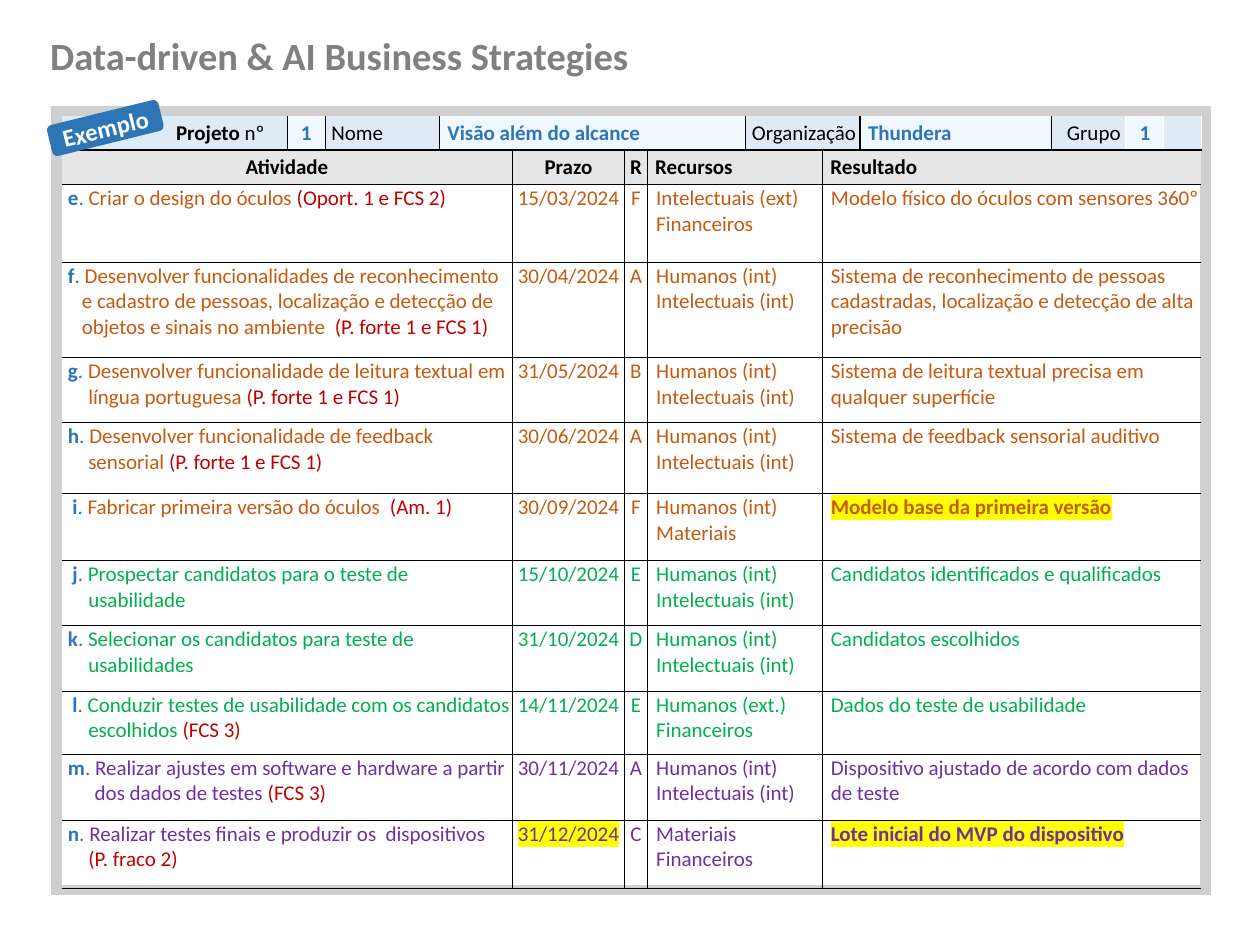
from lxml import etree
from pptx import Presentation
from pptx import util as u
from pptx.dml.color import RGBColor
from pptx.enum import shapes, text
from pptx.oxml import ns

COLORS = {
    "black": "000000", "white": "FFFFFF", "gray": "808080", "frame": "D0CECE",
    "label": "DEEBF7", "value": "EFF7FF", "heading": "E7E6E6", "blue": "2E75B6",
    "orange": "C55A11", "green": "00B050", "purple": "7030A0", "red": "C00000",
    "yellow": "FFFF00",
}
FONT = "Calibri"
TITLE = "Data-driven & AI Business Strategies"
BADGE = "Exemplo"

COLUMNS = [4.55, 0.76, 2.31, 1.47, 2.26, 0.46, 1.98, 1.55, 0.76, 3.86, 1.5, 0.76, 0.76]
ROWS = [0.68, 0.69, 1.57, 1.92, 1.31, 1.43, 1.35, 1.31, 1.33, 1.27, 1.33, 1.37]

# first column, last column, runs as (text, bold), fill, color, indent (None = centred)
PROJECT = [
    (0, 0, [("Projeto ", True), ("nº", False)], "label", "black", 2.28),
    (1, 1, [("1", True)], "value", "blue", None),
    (2, 2, [("Nome", False)], "label", "black", 0.1),
    (3, 6, [("Visão além do alcance", True)], "value", "blue", 0.13),
    (7, 8, [("Organização", False)], "label", "black", 0.1),
    (9, 9, [("Thundera", True)], "value", "blue", 0.13),
    (10, 10, [("Grupo", False)], "label", "black", 0.28),
    (11, 11, [("1", True)], "value", "blue", None),
    (12, 12, [], "label", "black", None),
]
# (color, width) of the line at the left of each project cell
PROJECT_LINES = {1: ("black", 0.25), 2: ("black", 0.25), 3: ("black", 0.25),
                 7: ("black", 1), 9: ("black", 0.25), 10: ("black", 1),
                 11: ("white", 1), 12: ("white", 1)}
HEADINGS = [("Atividade", None), ("Prazo", None), ("R", None),
            ("Recursos", 0.13), ("Resultado", 0.13)]
SPANS = [(0, 3), (4, 4), (5, 5), (6, 7), (8, 12)]

HUMAN, INTELLECT = "Humanos (int)", "Intelectuais (int)"
# color, letter, activity, reference, deadline, R, resources, result
ACTIVITIES = [
    ("orange", "e", "Criar o design do óculos ", "(Oport. 1 e FCS 2)", "15/03/2024", "F",
     ["Intelectuais (ext)", "Financeiros"], "Modelo físico do óculos com sensores 360º"),
    ("orange", "f", "Desenvolver funcionalidades de reconhecimento e cadastro de pessoas, "
     "localização e detecção de objetos e sinais no ambiente  ", "(P. forte 1 e FCS 1)",
     "30/04/2024", "A", [HUMAN, INTELLECT],
     "Sistema de reconhecimento de pessoas cadastradas, localização e detecção de alta precisão"),
    ("orange", "g", "Desenvolver funcionalidade de leitura textual em língua portuguesa ",
     "(P. forte 1 e FCS 1)", "31/05/2024", "B", [HUMAN, INTELLECT],
     "Sistema de leitura textual precisa em qualquer superfície"),
    ("orange", "h", "Desenvolver funcionalidade de feedback sensorial ",
     "(P. forte 1 e FCS 1)", "30/06/2024", "A", [HUMAN, INTELLECT],
     "Sistema de feedback sensorial auditivo"),
    ("orange", "i", "Fabricar primeira versão do óculos  ", "(Am. 1)", "30/09/2024", "F",
     [HUMAN, "Materiais"], "Modelo base da primeira versão"),
    ("green", "j", "Prospectar candidatos para o teste de usabilidade", "", "15/10/2024", "E",
     [HUMAN, INTELLECT], "Candidatos identificados e qualificados"),
    ("green", "k", "Selecionar os candidatos para teste de usabilidades", "", "31/10/2024", "D",
     [HUMAN, INTELLECT], "Candidatos escolhidos"),
    ("green", "l", "Conduzir testes de usabilidade com os candidatos escolhidos ", "(FCS 3)",
     "14/11/2024", "E", ["Humanos (ext.)", "Financeiros"], "Dados do teste de usabilidade"),
    ("purple", "m", "Realizar ajustes em software e hardware a partir dos dados de testes ",
     "(FCS 3)", "30/11/2024", "A", [HUMAN, INTELLECT],
     "Dispositivo ajustado de acordo com dados de teste"),
    ("purple", "n", "Realizar testes finais e produzir os  dispositivos\v", "(P. fraco 2)",
     "31/12/2024", "C", ["Materiais", "Financeiros"], "Lote inicial do MVP do dispositivo"),
]
HIGHLIGHTED = {"31/12/2024", "Modelo base da primeira versão",
               "Lote inicial do MVP do dispositivo"}
HANGING = {"f": 0.38, "m": 0.64}
LETTER_START = {"i": 0.19, "j": 0.19, "l": 0.19}


def rgb(name):
    """Return a named color."""
    return RGBColor.from_string(COLORS[name])


def add_color(parent, tag, name):
    """Add an element that holds a named color."""
    element = etree.SubElement(parent, ns.qn(tag))
    etree.SubElement(element, ns.qn("a:srgbClr"), val=COLORS[name])
    return element


def add_run(paragraph, words, color, size=12, bold=False):
    """Add formatted text, highlighted where listed."""
    for index, line in enumerate(words.split("\v")):
        if index:
            paragraph.add_line_break()
        if not line:
            continue
        run = paragraph.add_run()
        run.text = line
        for key, value in {"name": FONT, "size": u.Pt(size), "bold": bold}.items():
            setattr(run.font, key, value)
        run.font.color.rgb = rgb(color)
        if words in HIGHLIGHTED:
            properties = run.font._element
            mark = add_color(properties, "a:highlight", "yellow")
            properties.find(ns.qn("a:solidFill")).addnext(mark)


def set_indent(paragraph, left, first=0):
    """Indent a paragraph, or centre it when left is None."""
    if left is None:
        paragraph.alignment = text.PP_ALIGN.CENTER
        return
    properties = paragraph._p.get_or_add_pPr()
    properties.set("marL", str(u.Cm(left)))
    properties.set("indent", str(u.Cm(first)))


def set_borders(cell, borders):
    """Draw the given sides of a cell, in schema order, before its fill."""
    properties = cell._tc.get_or_add_tcPr()
    sides = [side for side in "LRTB" if side in borders]
    for position, side in enumerate(sides):
        color, width = borders[side]
        line = etree.Element(ns.qn("a:ln" + side), w=str(u.Pt(width)))
        add_color(line, "a:solidFill", color)
        properties.insert(position, line)


def fill_cell(table, row, span, paragraphs, borders, fill=None, middle=False):
    """Merge a span and write paragraphs of (runs, left, first)."""
    first, last = span
    cell = table.cell(row, first)
    if last > first:
        cell.merge(table.cell(row, last))
    anchor = text.MSO_ANCHOR.MIDDLE if middle else text.MSO_ANCHOR.TOP
    formats = {"margin_left": u.Cm(0.03), "margin_right": u.Cm(0.03),
               "margin_top": u.Cm(0.03), "margin_bottom": 0, "vertical_anchor": anchor}
    for key, value in formats.items():
        setattr(cell, key, value)
    for index, (runs, left, start) in enumerate(paragraphs):
        frame = cell.text_frame
        paragraph = frame.add_paragraph() if index else frame.paragraphs[0]
        set_indent(paragraph, left, start)
        for run in runs:
            add_run(paragraph, run[0], run[1], bold=run[2])
        if not runs:
            etree.SubElement(paragraph._p, ns.qn("a:endParaRPr"), sz="1200")
    for column in range(first, last + 1):
        part = table.cell(row, column)
        if fill:
            part.fill.solid()
            part.fill.fore_color.rgb = rgb(fill)
        else:
            part.fill.background()
        sides = {"T": borders.get("T"), "B": borders["B"]}
        if column == first:
            sides["L"] = borders.get("L")
        if column == last:
            sides["R"] = borders.get("R")
        set_borders(part, {side: line for side, line in sides.items() if line})


def add_plan(slide):
    """Build the table of activities."""
    shape = slide.shapes.add_table(len(ROWS), len(COLUMNS), u.Cm(1.24), u.Cm(2.34),
                                   u.Cm(sum(COLUMNS)), u.Cm(sum(ROWS)))
    table = shape.table
    table.first_row = table.horz_banding = False
    style = table._tbl.tblPr.find(ns.qn("a:tableStyleId"))
    style.text = "{2D5ABB26-0587-4C30-8999-92F81FD0307C}"
    for column, width in zip(table.columns, COLUMNS):
        column.width = u.Cm(width)
    for row, height in zip(table.rows, ROWS):
        row.height = u.Cm(height)
    thin, thick = ("black", 0.25), ("black", 1)

    for first, last, words, fill, color, left in PROJECT:
        runs = [(word, color, bold) for word, bold in words]
        borders = {"B": thick, "L": PROJECT_LINES.get(first), "R": PROJECT_LINES.get(last + 1)}
        fill_cell(table, 0, (first, last), [(runs, left, 0)], borders, fill, True)

    def sides(span, top):
        """Return the lines around a cell below the project row."""
        return {"T": top, "B": thin, "L": thick if span[0] else None,
                "R": thick if span[1] < len(COLUMNS) - 1 else None}

    for span, (word, left) in zip(SPANS, HEADINGS):
        paragraphs = [([(word, "black", True)], left, 0)]
        fill_cell(table, 1, span, paragraphs, sides(span, thick), "heading", True)

    for row, activity in enumerate(ACTIVITIES, 2):
        color, letter, task, reference, deadline, grade, resources, result = activity
        hanging = HANGING.get(letter, 0.51)
        task_runs = [(letter, "blue", True), (". ", "blue", False),
                     (task, color, False), (reference, "red", False)]
        strong = result in HIGHLIGHTED
        contents = [
            [(task_runs, hanging, LETTER_START.get(letter, 0.1) - hanging)],
            [([(deadline, color, False)], None, 0)],
            [([(grade, color, False)], None, 0)],
            [([(resource, color, False)], 0.15, 0) for resource in resources],
            [([(result, color, strong)], 0.14, 0)],
        ]
        for span, paragraphs in zip(SPANS, contents):
            fill_cell(table, row, span, paragraphs, sides(span, thin))


presentation = Presentation()
presentation.slide_width, presentation.slide_height = u.Cm(25.4), u.Cm(19.05)
slide = presentation.slides.add_slide(presentation.slide_layouts[6])

frame = slide.shapes.add_shape(shapes.MSO_SHAPE.RECTANGLE, u.Cm(1.14), u.Cm(2.24),
                               u.Cm(23.16), u.Cm(15.7))
frame.shadow.inherit = False
frame.fill.background()
frame.line.color.rgb = rgb("frame")
frame.line.width = u.Pt(6)
etree.SubElement(frame.line._ln, ns.qn("a:miter"), lim="800000")

title = slide.shapes.add_textbox(u.Cm(0.76), u.Cm(0.53), u.Cm(12.65), u.Cm(1.19))
title.text_frame.word_wrap = True
title_paragraph = title.text_frame.paragraphs[0]
title_paragraph.space_after = u.Pt(2)
add_run(title_paragraph, TITLE, "gray", 22, True)

add_plan(slide)

badge = slide.shapes.add_shape(shapes.MSO_SHAPE.ROUNDED_RECTANGLE, u.Cm(0.97), u.Cm(2.26),
                               u.Cm(2.31), u.Cm(0.64))
badge.rotation = 346.2
badge.shadow.inherit = False
badge.fill.solid()
badge.fill.fore_color.rgb = rgb("blue")
badge.line.fill.background()
badge_format = {"margin_left": 0, "margin_right": 0, "margin_top": 0, "margin_bottom": 0,
                "word_wrap": False, "vertical_anchor": text.MSO_ANCHOR.MIDDLE}
for key, value in badge_format.items():
    setattr(badge.text_frame, key, value)
set_indent(badge.text_frame.paragraphs[0], None)
add_run(badge.text_frame.paragraphs[0], BADGE, "white", 14, True)

presentation.save("out.pptx")
